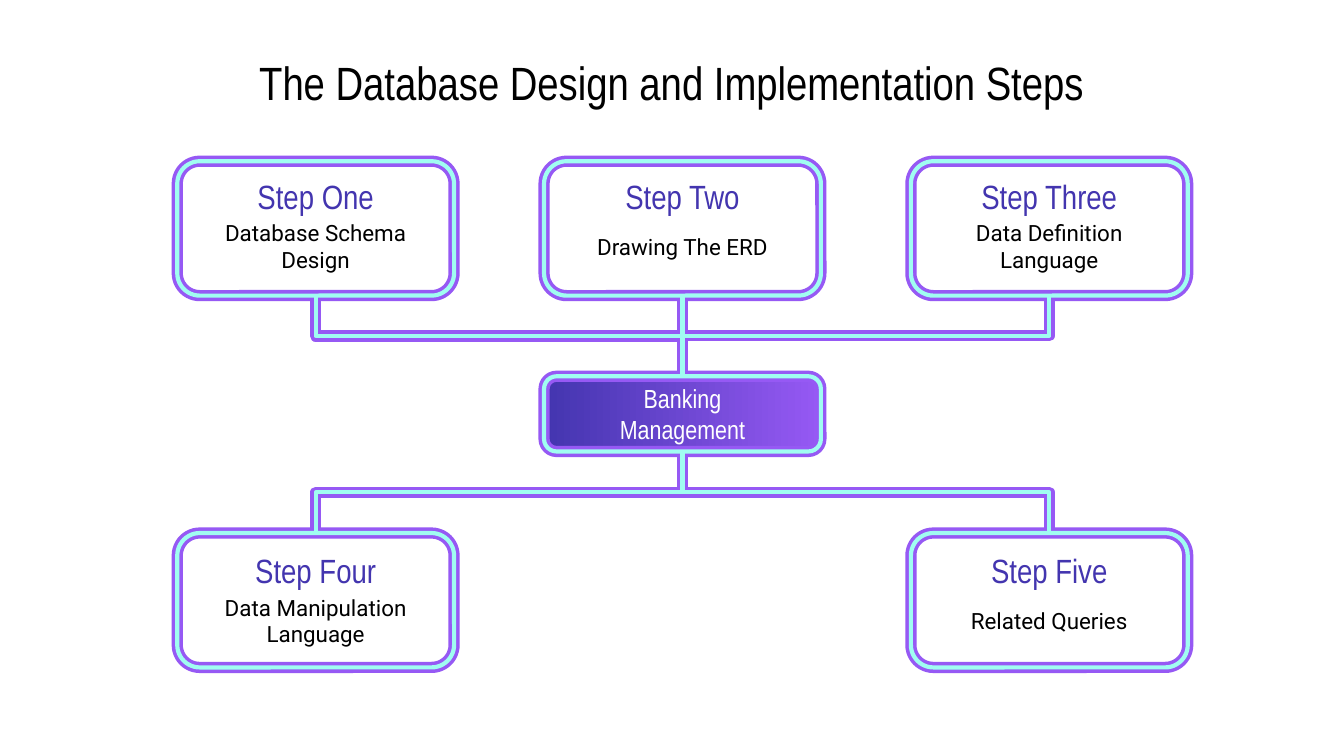
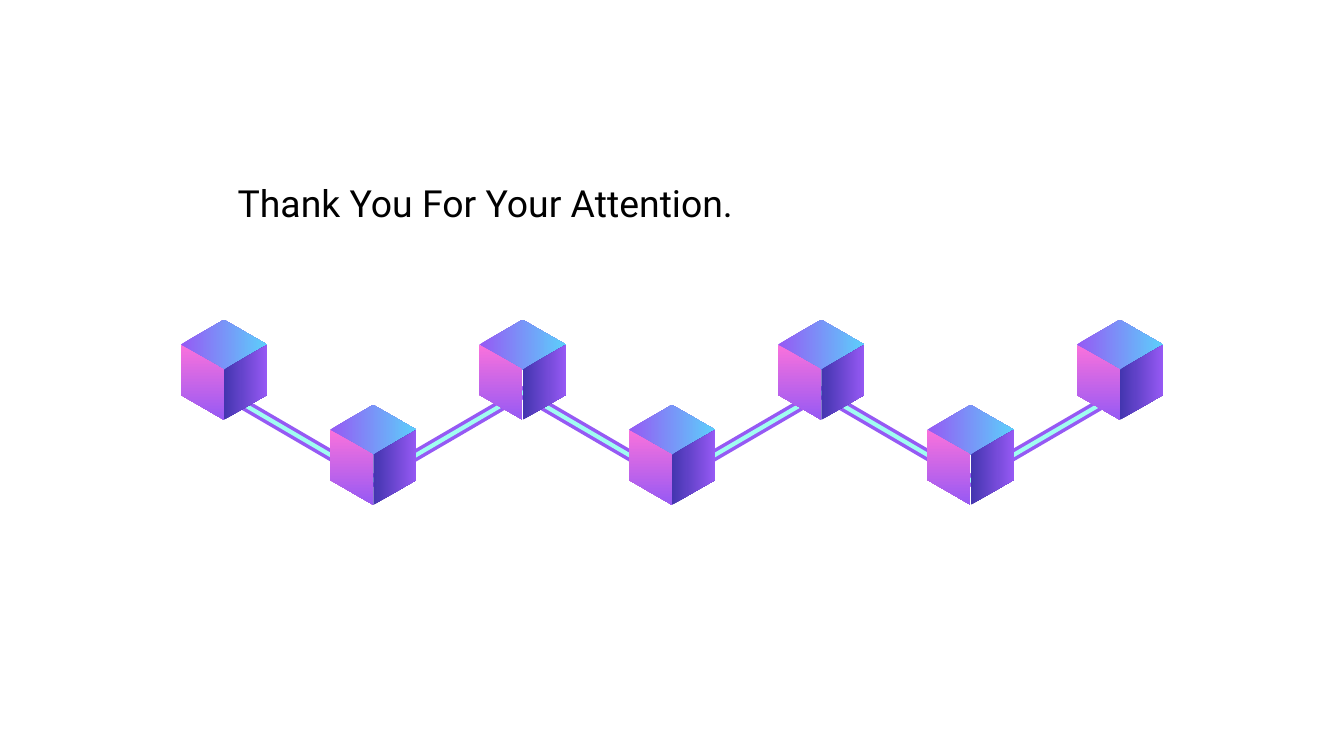
import pptx
import pptx.util
import pptx.dml.color
import pptx.enum.shapes
import pptx.enum.text
import pptx.oxml.ns
import lxml.etree

Pt = pptx.util.Pt
RGB = pptx.dml.color.RGBColor
KIND = pptx.enum.shapes.MSO_SHAPE
LINK = pptx.enum.shapes.MSO_CONNECTOR
ANCHOR = pptx.enum.text.MSO_ANCHOR
ALIGN = pptx.enum.text.PP_ALIGN
qn = pptx.oxml.ns.qn

# Content
TITLE = "The Database Design and Implementation Steps"
HUB = "Banking Management"
THANKS = "Thank You For Your Attention."
STEPS = [  # column, row, heading, detail
    (0, 0, "Step One", "Database Schema Design"),
    (1, 0, "Step Two", "Drawing The ERD"),
    (2, 0, "Step Three", "Data Definition Language"),
    (0, 1, "Step Four", "Data Manipulation Language"),
    (2, 1, "Step Five", "Related Queries"),
]
CUBES = 7

# Style
NARROW, ROBOTO = "Arial Narrow", "Roboto"
BLACK = RGB(0x00, 0x00, 0x00)
WHITE = RGB(0xFF, 0xFF, 0xFF)
INDIGO = RGB(0x43, 0x35, 0xAF)
PURPLE = RGB(0x96, 0x59, 0xF4)
MINT = RGB(0xA0, 0xFD, 0xF1)
SKY = RGB(0x5C, 0xCF, 0xFB)
PINK = RGB(0xFA, 0x72, 0xDC)
STROKES = [(PURPLE, 6), (MINT, 2.25)]  # wide tube, then its bright core

# Step diagram
LEFT, PITCH = 95, 196.5
BOX_W, BOX_H = 148.3, 72
ROWS = [86.4, 285.6]
PADS = [8.64, 10]
HUB_Y, HUB_H = 201.6, 40.3
HEAD_H, BODY_H = 20, 33.8

# Cube chain
CUBE_X, CUBE_GAP = 120, 80
TOPS = [171.3, 216.9]
HALF, RISE = 23.25, 13.4
FACES = [  # corners in half widths and rises, gradient ends, angle
    ([(0, 2), (-1, 1), (0, 0), (1, 1)], PURPLE, SKY, 0),
    ([(-1, 1), (-1, 3), (0, 4), (0, 2)], PINK, PURPLE, 270),
    ([(1, 1), (0, 2), (0, 4), (1, 3)], INDIGO, PURPLE, 0),
]


def shade(shape, first, last, angle):
    shape.fill.gradient()
    shape.fill.gradient_angle = angle
    for stop, color in zip(shape.fill.gradient_stops, (first, last)):
        stop.color.rgb = color


def stroke(shape, color, width):
    shape.line.color.rgb = color
    shape.line.width = Pt(width)


def write(slide, text, box, size, font, color,
          align=ALIGN.CENTER, anchor=ANCHOR.MIDDLE, inset=7.2):
    frame = slide.shapes.add_textbox(*map(Pt, box)).text_frame
    frame.word_wrap = True
    frame.vertical_anchor = anchor
    frame.margin_left = frame.margin_right = Pt(7.2)
    frame.margin_top = frame.margin_bottom = Pt(inset)
    frame.text = text
    para = frame.paragraphs[0]
    para.alignment = align
    run = para.runs[0].font
    run.size, run.name, run.color.rgb = Pt(size), font, color


def frame_box(slide, box, color, width):
    shape = slide.shapes.add_shape(KIND.ROUNDED_RECTANGLE, *map(Pt, box))
    shape.adjustments[0] = 0.167
    shape.shadow.inherit = False
    shape.fill.background()
    stroke(shape, color, width)
    return shape


def join(shapes, kind, ends, color, width):
    link = shapes.add_connector(kind, *map(Pt, ends))
    stroke(link, color, width)
    lxml.etree.SubElement(link._element.spPr, qn("a:effectLst"))
    return link


def bend(slide, x1, y1, x2, y2, color, width):
    """Elbow that leaves and arrives vertically: a turned standard elbow."""
    turn = 1 if x1 > x2 else -1
    mx, my = (x1 + x2) / 2, (y1 + y2) / 2
    dx, dy = turn * (y1 - my), -turn * (x1 - mx)
    ends = (mx + dx, my + dy, mx - dx, my - dy)
    link = join(slide.shapes, LINK.ELBOW, ends, color, width)
    link._element.spPr.find(qn("a:xfrm")).set("rot", str(turn * 90 % 360 * 60000))


def draw_steps(slide):
    hub = (LEFT + PITCH, HUB_Y, BOX_W, HUB_H)
    mid = LEFT + PITCH + BOX_W / 2
    for color, width in STROKES:
        shape = frame_box(slide, hub, color, width)
        if color == PURPLE:
            shade(shape, INDIGO, PURPLE, 0)
        for col, row, _, _ in STEPS:
            x = LEFT + col * PITCH + BOX_W / 2
            y = ROWS[row] + (0 if row else BOX_H)
            end = HUB_Y + (HUB_H if row else 0)
            if col == 1:
                join(slide.shapes, LINK.STRAIGHT, (x, y, mid, end), color, width)
            else:
                bend(slide, x, y, mid, end, color, width)
        for col, row, _, _ in STEPS:
            box = (LEFT + col * PITCH, ROWS[row], BOX_W, BOX_H)
            frame_box(slide, box, color, width)
    for col, row, head, body in STEPS:
        x, y = LEFT + col * PITCH + 5.75, ROWS[row] + PADS[row]
        wide = BOX_W - 11.5
        write(slide, head, (x, y, wide, HEAD_H), 18, NARROW, INDIGO)
        write(slide, body, (x, y + HEAD_H, wide, BODY_H), 12, ROBOTO, BLACK)
    write(slide, HUB, (mid - 60.8, HUB_Y + 10.1, 121.6, 20), 14, NARROW, WHITE)
    write(slide, TITLE, (40.3, 23.8, 638.6, 40.3), 25, NARROW, BLACK)


def draw_cube(slide, x, y):
    group = slide.shapes.add_group_shape()
    for spots, first, last, angle in FACES:
        spots = [(Pt(x + a * HALF), Pt(y + b * RISE)) for a, b in spots]
        pen = group.shapes.build_freeform(*spots[0])
        pen.add_line_segments(spots[1:], close=True)
        face = pen.convert_to_shape()
        face.shadow.inherit = False
        face.line.fill.background()
        shade(face, first, last, angle)


def draw_chain(slide):
    spots = [(CUBE_X + i * CUBE_GAP, TOPS[i % 2]) for i in range(CUBES)]
    bonds = slide.shapes.add_group_shape().shapes
    for i in range(CUBES - 1):
        high, low = (i + 1, i) if i % 2 else (i, i + 1)
        way = low - high
        ends = (spots[high][0] - way * 16.5, 200.9,
                spots[low][0] + way * 3.5, 259.2)
        for color, width in STROKES:
            join(bonds, LINK.STRAIGHT, ends, color, width)
    for spot in spots[::2] + spots[1::2]:
        draw_cube(slide, *spot)
    write(slide, THANKS, (120.2, 92.9, 524.9, 31.7), 20, ROBOTO, BLACK,
          ALIGN.LEFT, ANCHOR.TOP, 3.6)


def main():
    deck = pptx.Presentation()
    deck.slide_width, deck.slide_height = Pt(720), Pt(405)
    for draw in (draw_steps, draw_chain):
        draw(deck.slides.add_slide(deck.slide_layouts[6]))
    deck.save("out.pptx")


if __name__ == "__main__":
    main()
